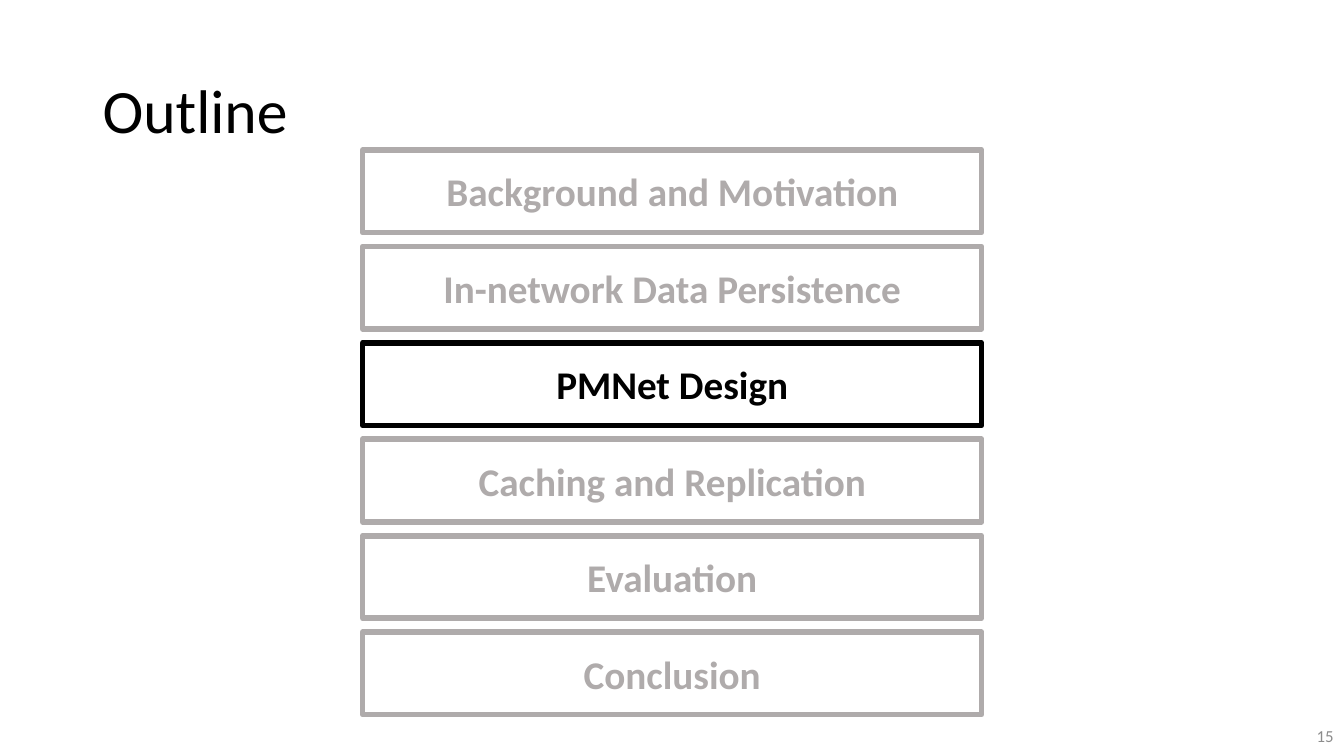
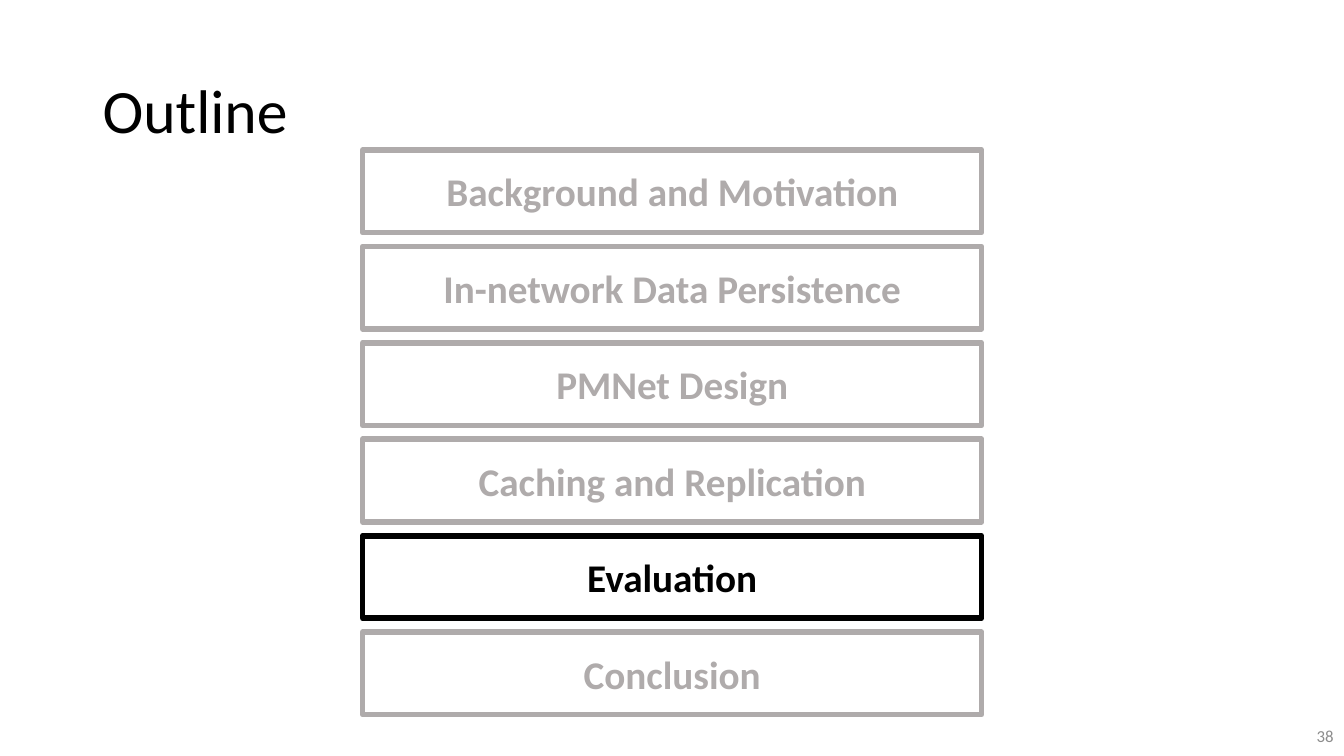
"""Build the outline slides that mark the current section of the talk."""

from dataclasses import dataclass

from pptx import Presentation
from pptx.dml.color import RGBColor
from pptx.enum.shapes import MSO_SHAPE
from pptx.enum.text import MSO_ANCHOR, MSO_AUTO_SIZE, PP_ALIGN
from pptx.presentation import Presentation as Deck
from pptx.shapes.autoshape import Shape
from pptx.slide import Slide
from pptx.util import Cm, Pt

FONT = "Calibri"
BLACK = "000000"
MUTED = "AFABAB"
NUMBER_GRAY = "8C8C8C"

TITLE_ONLY_LAYOUT = 5
FIRST_BOX_TOP = 3.78
BOX_PITCH = 2.43

SECTIONS = (
    "Background and Motivation",
    "In-network Data Persistence",
    "PMNet Design",
    "Caching and Replication",
    "Evaluation",
    "Conclusion",
)


@dataclass(frozen=True)
class Frame:
    """A position and size in centimetres."""

    left: float
    top: float
    width: float
    height: float


@dataclass(frozen=True)
class TextStyle:
    """The look of a single-line text."""

    size: int
    color: str
    align: PP_ALIGN
    bold: bool = False
    line_spacing: float = 1.0


@dataclass(frozen=True)
class OutlineSlide:
    """A slide number and the section highlighted on that slide."""

    number: int
    current: str


TITLE_FRAME = Frame(2.33, 1.01, 29.21, 3.68)
NUMBER_FRAME = Frame(26.24, 18.03, 7.62, 1.01)
TITLE_STYLE = TextStyle(44, BLACK, PP_ALIGN.LEFT, line_spacing=0.9)
NUMBER_STYLE = TextStyle(12, NUMBER_GRAY, PP_ALIGN.RIGHT)

OUTLINE_SLIDES = (
    OutlineSlide(15, "PMNet Design"),
    OutlineSlide(38, "Evaluation"),
)


def rgb(color: str) -> RGBColor:
    """Turn a hex string into a colour."""
    return RGBColor.from_string(color)


def lengths(frame: Frame) -> tuple[Cm, Cm, Cm, Cm]:
    """Return the frame as left, top, width and height."""
    return Cm(frame.left), Cm(frame.top), Cm(frame.width), Cm(frame.height)


def write_text(shape: Shape, text: str, style: TextStyle) -> None:
    """Write one vertically centred line into a shape."""
    text_frame = shape.text_frame
    text_frame.word_wrap = True
    text_frame.auto_size = MSO_AUTO_SIZE.NONE
    text_frame.vertical_anchor = MSO_ANCHOR.MIDDLE
    paragraph = text_frame.paragraphs[0]
    paragraph.alignment = style.align
    paragraph.line_spacing = style.line_spacing
    run = paragraph.add_run()
    run.text = text
    run.font.name = FONT
    run.font.size = Pt(style.size)
    run.font.bold = style.bold
    run.font.color.rgb = rgb(style.color)


def add_title(slide: Slide, text: str) -> None:
    """Place and fill the title placeholder."""
    title = slide.shapes.title
    title.left, title.top, title.width, title.height = lengths(TITLE_FRAME)
    write_text(title, text, TITLE_STYLE)


def add_slide_number(slide: Slide, number: int) -> None:
    """Write the slide number in the bottom right corner."""
    box = slide.shapes.add_textbox(*lengths(NUMBER_FRAME))
    write_text(box, str(number), NUMBER_STYLE)


def add_section_box(slide: Slide, row: int, section: str, color: str) -> None:
    """Draw the outlined box of one section."""
    frame = Frame(9.14, FIRST_BOX_TOP + row * BOX_PITCH, 15.6, 2.08)
    box = slide.shapes.add_shape(MSO_SHAPE.RECTANGLE, *lengths(frame))
    box.shadow.inherit = False
    box.fill.background()
    box.line.color.rgb = rgb(color)
    box.line.width = Pt(4)
    write_text(box, section, TextStyle(28, color, PP_ALIGN.CENTER, bold=True))


def add_outline_slide(presentation: Deck, outline: OutlineSlide) -> None:
    """Add an outline slide with its current section in black."""
    layout = presentation.slide_layouts[TITLE_ONLY_LAYOUT]
    slide = presentation.slides.add_slide(layout)
    add_title(slide, "Outline")
    add_slide_number(slide, outline.number)
    for row, section in enumerate(SECTIONS):
        color = BLACK if section == outline.current else MUTED
        add_section_box(slide, row, section, color)


def main() -> None:
    """Build and save the presentation."""
    presentation = Presentation()
    presentation.slide_width = Cm(33.87)
    presentation.slide_height = Cm(19.05)
    for outline in OUTLINE_SLIDES:
        add_outline_slide(presentation, outline)
    presentation.save("out.pptx")


if __name__ == "__main__":
    main()
